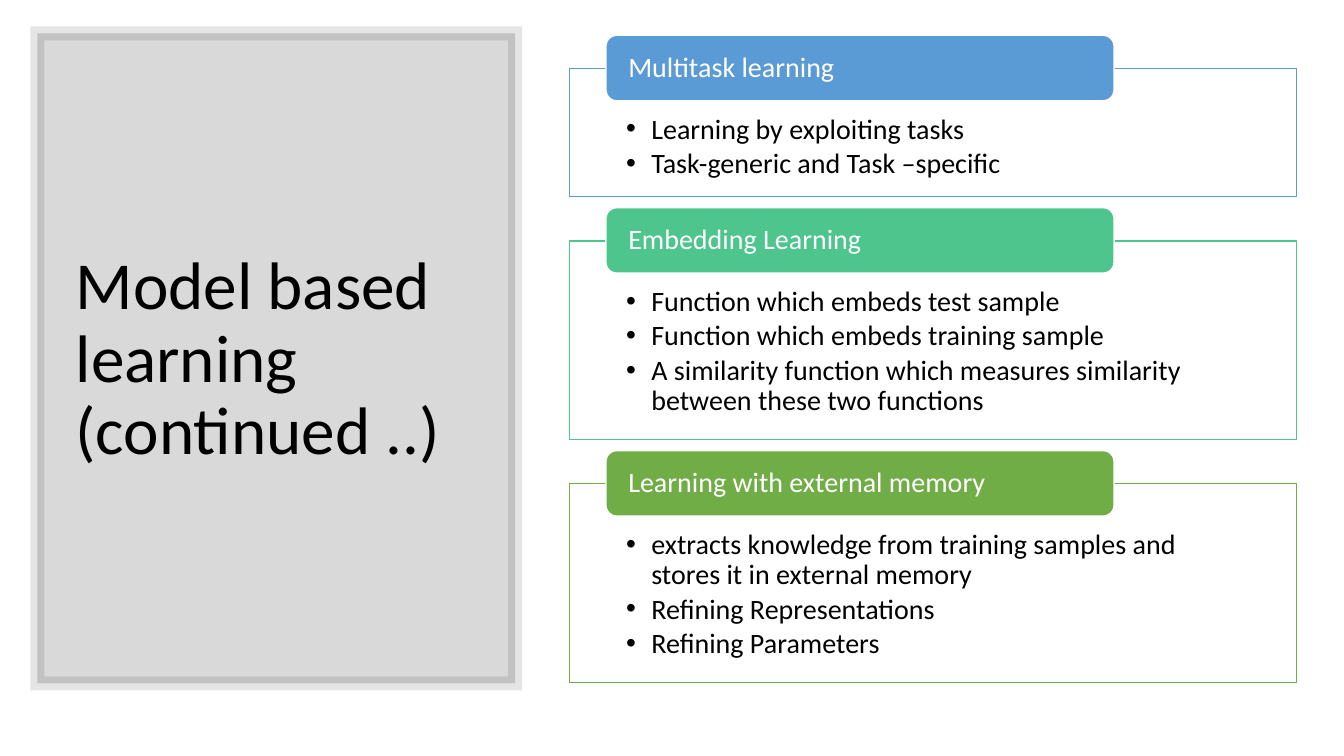
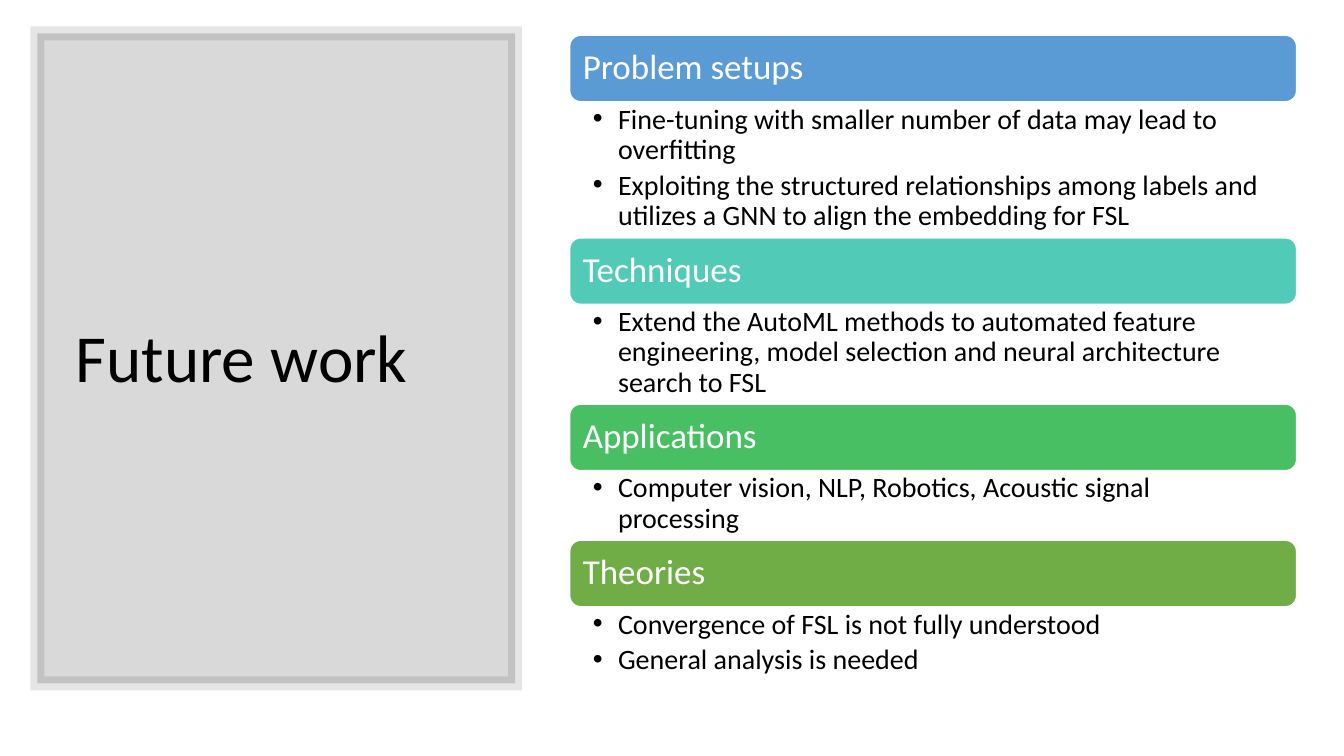
from lxml.etree import SubElement
from pptx import Presentation
from pptx.dml.color import RGBColor
from pptx.enum.shapes import MSO_SHAPE as SHAPE
from pptx.enum.text import MSO_ANCHOR as ANCHOR, MSO_AUTO_SIZE as AUTO, PP_ALIGN as ALIGN
from pptx.oxml.ns import qn
from pptx.util import Pt

PX = 9144
FONT = "Calibri"
BLACK = RGBColor(0x00, 0x00, 0x00)
WHITE = RGBColor(0xFF, 0xFF, 0xFF)
BLUE = RGBColor(0x5B, 0x9B, 0xD5)
MINT = RGBColor(0x4D, 0xC5, 0x8D)
TEAL = RGBColor(0x52, 0xCA, 0xB8)
GREEN = RGBColor(0x49, 0xBF, 0x64)
OLIVE = RGBColor(0x70, 0xAD, 0x47)

LEFT, WIDTH = 565, 721

MODEL_CARDS = [
    ("Multitask learning", BLUE, 127, [
        "Learning by exploiting tasks",
        "Task-generic and Task –specific"]),
    ("Embedding Learning", MINT, 197, [
        "Function which embeds test sample",
        "Function which embeds training sample",
        "A similarity function which measures similarity between these two functions"]),
    ("Learning with external memory", OLIVE, 197, [
        "extracts knowledge from training samples and stores it in external memory",
        "Refining Representations",
        "Refining Parameters"]),
]

FUTURE_SECTIONS = [
    ("Problem setups", BLUE, 135, [
        "Fine-tuning with smaller number of data may lead to overfitting",
        "Exploiting the structured relationships among labels and utilizes a GNN "
        "to align the embedding for FSL"]),
    ("Techniques", TEAL, 99, [
        "Extend the AutoML methods to automated feature engineering, model selection "
        "and neural architecture search to FSL"]),
    ("Applications", GREEN, 69, [
        "Computer vision, NLP, Robotics, Acoustic signal processing"]),
    ("Theories", OLIVE, 75, [
        "Convergence of FSL is not fully understood",
        "General analysis is needed"]),
]


def set_alpha(fill_parent, percent):
    color = fill_parent.find(qn("a:solidFill"))[0]
    SubElement(color, qn("a:alpha"), val=str(percent * 1000))


def write(tf, lines, size=20, color=BLACK, anchor=ANCHOR.TOP, inset=(10, 5, 10, 5),
          after=0, bullet=False):
    tf.word_wrap = True
    tf.auto_size = AUTO.NONE
    tf.vertical_anchor = anchor
    tf.margin_left, tf.margin_top, tf.margin_right, tf.margin_bottom = (v * PX for v in inset)
    for i, line in enumerate(lines):
        p = tf.add_paragraph() if i else tf.paragraphs[0]
        p.alignment = ALIGN.LEFT
        p.line_spacing = 0.9
        p.space_before = Pt(0)
        p.space_after = Pt(after)
        if bullet:
            p.level = 1
            pPr = p._p.get_or_add_pPr()
            pPr.set("marL", str(25 * PX))
            pPr.set("indent", str(-25 * PX))
            SubElement(pPr, qn("a:buFont"), typeface="Arial")
            SubElement(pPr, qn("a:buChar"), char="•")
        r = p.add_run()
        r.text = line
        r.font.name = FONT
        r.font.size = Pt(size)
        r.font.color.rgb = color


class Deck:
    def __init__(self):
        self.prs = Presentation()
        self.prs.slide_width = 1333 * PX
        self.prs.slide_height = 750 * PX
        self.s = None

    def shape(self, kind, x, y, w, h, fill, line, weight=1):
        sp = self.s.shapes.add_shape(kind, x * PX, y * PX, w * PX, h * PX)
        sp.shadow.inherit = False
        sp.fill.solid()
        sp.fill.fore_color.rgb = fill
        sp.line.color.rgb = line
        sp.line.width = Pt(weight)
        return sp

    def new_slide(self, title):
        self.s = self.prs.slides.add_slide(self.prs.slide_layouts[5])
        sp = self.s.shapes.title
        sp.left, sp.top, sp.width, sp.height = (v * PX for v in (65, 70, 416, 575))
        write(sp.text_frame, [title], size=48, anchor=ANCHOR.MIDDLE)
        panel = self.shape(SHAPE.RECTANGLE, 37, 33, 474, 645, BLACK, BLACK, 10)
        set_alpha(panel._element.spPr, 15)
        ln = panel.line._get_or_add_ln()
        set_alpha(ln, 10)
        SubElement(ln, qn("a:miter"), lim="800000")
        sp._element.addprevious(panel._element)

    def header(self, text, x, y, w, h, fill, size, pad):
        sp = self.shape(SHAPE.ROUNDED_RECTANGLE, x, y, w, h, fill, WHITE)
        write(sp.text_frame, [text], size=size, color=WHITE, anchor=ANCHOR.MIDDLE,
              inset=(pad, 0, pad, 0))

    def card(self, text, color, y, h, items):
        box = self.shape(SHAPE.RECTANGLE, LEFT, y, WIDTH, h, WHITE, color)
        set_alpha(box._element.spPr, 90)
        write(box.text_frame, items, inset=(56, 46, 56, 16), after=3, bullet=True)
        self.header(text, LEFT + 36, y - 33, 504, 65, color, size=20, pad=19)

    def bullets(self, items, y, h):
        sp = self.s.shapes.add_textbox(LEFT * PX, y * PX, WIDTH * PX, h * PX)
        write(sp.text_frame, items, inset=(23, 3, 19, 3), after=4, bullet=True)


def main():
    deck = Deck()

    deck.new_slide("Model based learning (continued ..)")
    y, gap = 68, 44
    for text, color, h, items in MODEL_CARDS:
        deck.card(text, color, y, h, items)
        y += h + gap

    deck.new_slide("Future work")
    y, bar_h = 35, 66
    for text, color, h, items in FUTURE_SECTIONS:
        deck.header(text, LEFT, y, WIDTH, bar_h, color, size=25, pad=10)
        deck.bullets(items, y + bar_h, h)
        y += bar_h + h

    deck.prs.save("out.pptx")


if __name__ == "__main__":
    main()
